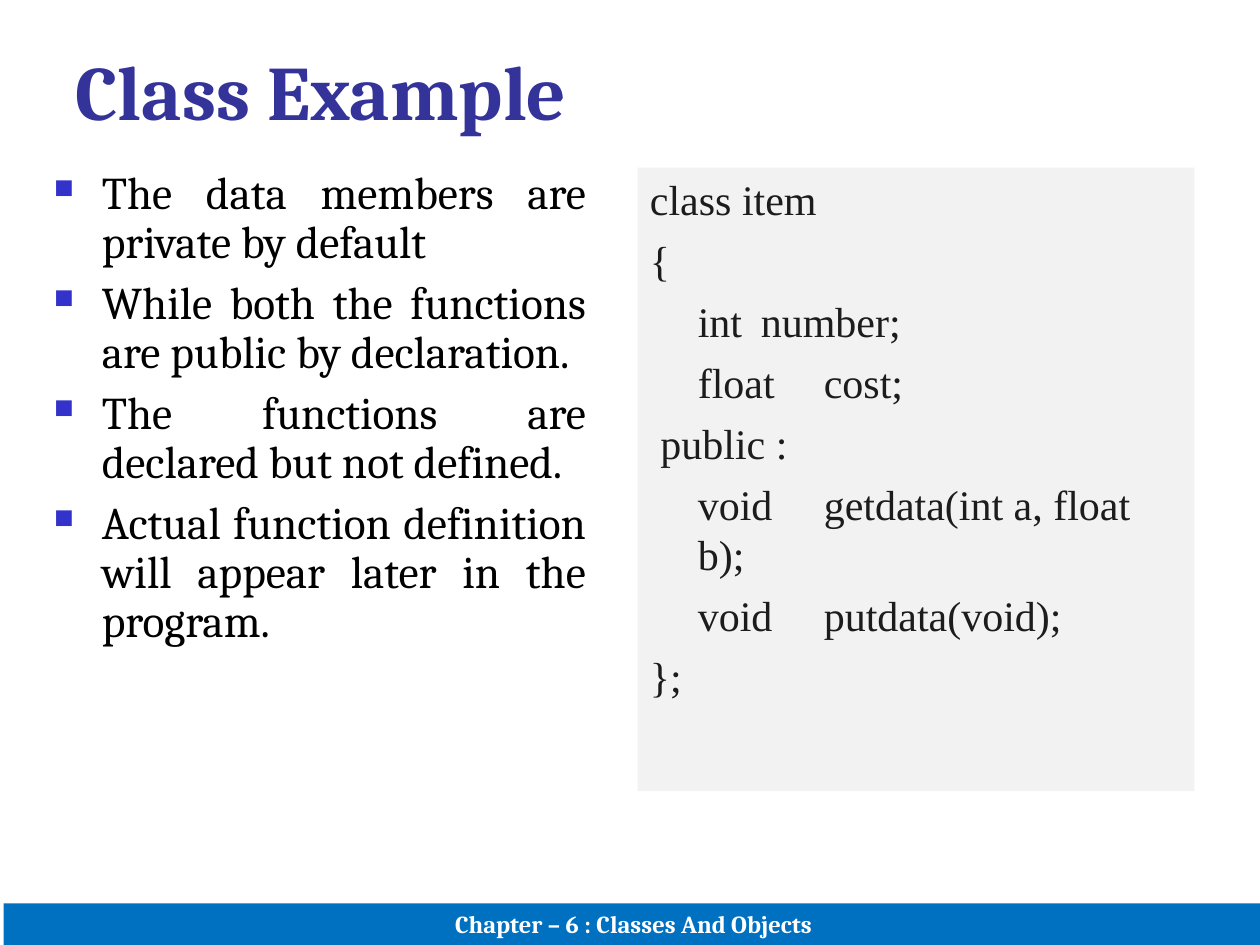
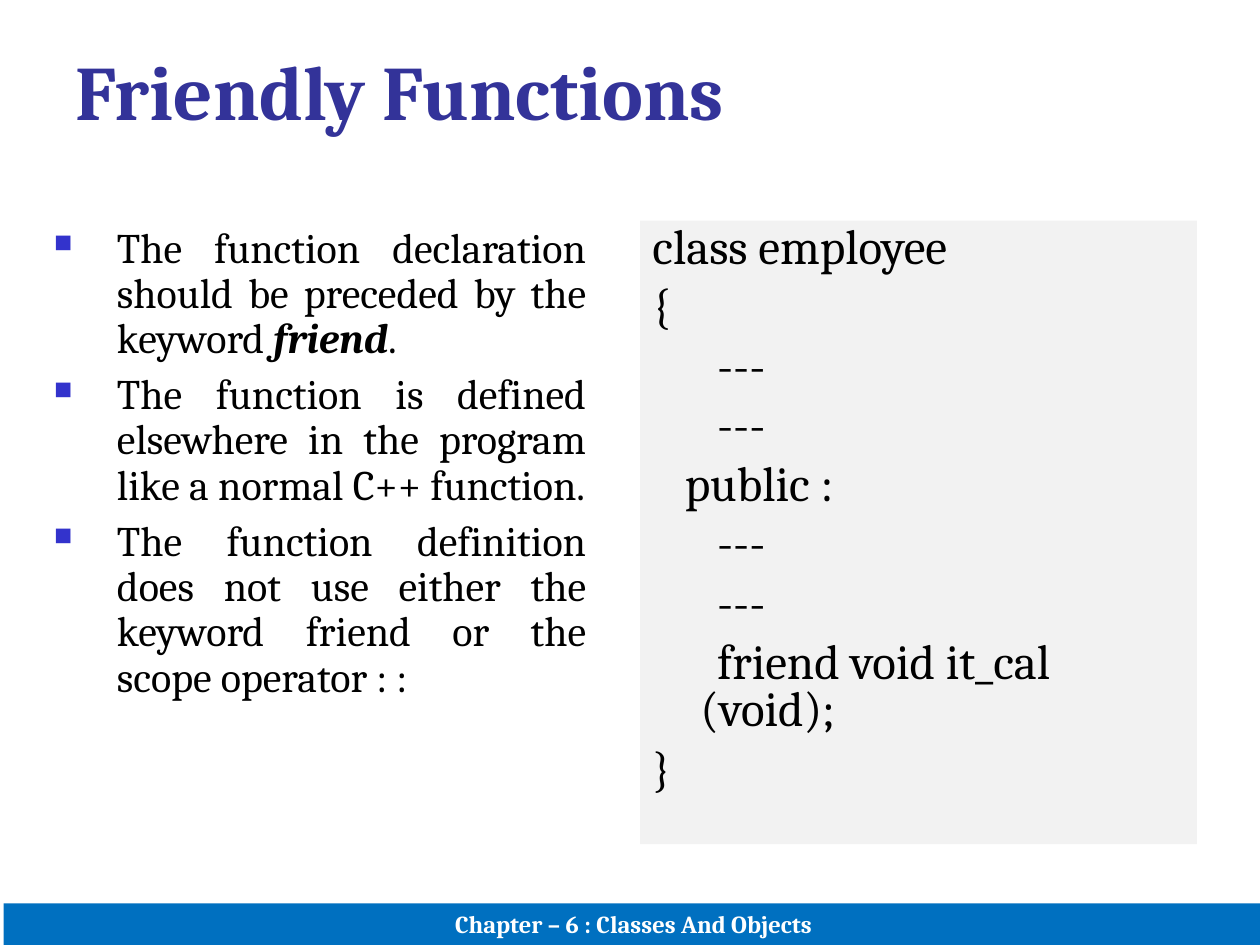
from lxml.etree import SubElement
from pptx import Presentation
from pptx.dml.color import RGBColor
from pptx.enum.shapes import MSO_SHAPE as Preset
from pptx.enum.text import MSO_ANCHOR as Anchor, PP_ALIGN as Align
from pptx.oxml.ns import qn
from pptx.util import Inches, Pt

TITLE = "333399"
BULLET = "3333CC"
BAND = "0070C0"
PANEL = "F2F2F2"
FOOTER = "Chapter – 6 : Classes And Objects"


def color(value):
    return RGBColor.from_string(value)


def indent(properties, hang):
    properties.set("marL", str(Inches(hang)))
    properties.set("indent", str(-Inches(hang)))


def add_bullet(properties):
    hue = SubElement(properties, qn("a:buClr"))
    SubElement(hue, qn("a:srgbClr"), val=BULLET)
    SubElement(properties, qn("a:buSzPct"), val="60000")
    SubElement(properties, qn("a:buChar"), char="■")


def add_tabs(properties):
    stops = SubElement(properties, qn("a:tabLst"))
    for inch in range(8):
        SubElement(stops, qn("a:tab"), pos=str(Inches(inch)), algn="l")


def write(frame, lines, size, font="Cambria", ink="000000", bold=False, align=Align.LEFT,
          anchor=Anchor.TOP, hang=0, spacing=None, before=0, bullet=False, tabs=False):
    """Each line is a string or a list of (text, emphasized) pairs."""
    frame.word_wrap = True
    frame.vertical_anchor = anchor
    for index, line in enumerate(lines):
        paragraph = frame.add_paragraph() if index else frame.paragraphs[0]
        properties = paragraph._p.get_or_add_pPr()
        if hang:
            indent(properties, hang)
        if bullet:
            add_bullet(properties)
        if tabs:
            add_tabs(properties)
        paragraph.alignment = align
        if spacing:
            paragraph.line_spacing = spacing
        if index:
            paragraph.space_before = Pt(before)
        for words, emphasized in [(line, False)] if isinstance(line, str) else line:
            run = paragraph.add_run()
            run.text = words
            run.font.name = font
            run.font.size = Pt(size)
            run.font.color.rgb = color(ink)
            run.font.bold = bold or emphasized
            run.font.italic = emphasized


class Deck:
    def __init__(self):
        self.show = Presentation()
        self.show.slide_width = Inches(10)
        self.show.slide_height = Inches(7.5)
        self.slide = None

    def start(self, title):
        self.slide = self.show.slides.add_slide(self.show.slide_layouts[6])
        self.text((0.5, 0.3, 9, 0.87), [title], size=44, ink=TITLE, bold=True)
        self.panel((0.03, 7.17, 10, 0.33), BAND, [FOOTER], size=14, ink="FFFFFF",
                   bold=True, align=Align.CENTER, anchor=Anchor.BOTTOM)

    def text(self, area, lines, **style):
        box = self.slide.shapes.add_textbox(*map(Inches, area))
        write(box.text_frame, lines, **style)

    def panel(self, area, fill, lines, **style):
        rectangle = self.slide.shapes.add_shape(Preset.RECTANGLE, *map(Inches, area))
        rectangle.shadow.inherit = False
        rectangle.fill.solid()
        rectangle.fill.fore_color.rgb = color(fill)
        rectangle.line.fill.background()
        write(rectangle.text_frame, lines, **style)

    def bullets(self, top, points, **style):
        self.text((0.33, top, 4.42, 4.95), points, align=Align.JUSTIFY,
                  spacing=0.9, bullet=True, **style)

    def code(self, left, top, lines, **style):
        self.panel((left, top, 4.42, 4.95), PANEL, lines, hang=0.38, **style)


def main():
    deck = Deck()

    deck.start("Class Example")
    deck.bullets(1.3, [
        "The data members are private by default",
        "While both the functions are public by declaration.",
        "The functions are declared but not defined.",
        "Actual function definition will appear later in the program.",
    ], size=25.9, hang=0.38, before=7)
    deck.code(5.06, 1.33, [
        "class item",
        "{",
        "\tint\tnumber;",
        "\tfloat\tcost;",
        " public :",
        "\tvoid\tgetdata(int a, float b);",
        "\tvoid\tputdata(void);",
        "};",
    ], size=24, font="Times New Roman", ink="1C1C1C", before=6, tabs=True)

    deck.start("Friendly Functions")
    deck.bullets(1.75, [
        [("The function declaration should be preceded by the keyword ", False),
         ("friend", True), (".", False)],
        "The function is defined elsewhere in the program like a normal C++ function.",
        "The function definition does not use either the keyword friend "
        "or the scope operator : :",
    ], size=24, hang=0.5, before=6)
    deck.code(5.08, 1.75, [
        "class employee",
        "{",
        "      ---",
        "      ---",
        "   public :",
        "      ---",
        "      ---",
        "      friend void it_cal (void);",
        "}",
    ], size=28, spacing=0.8, before=7)

    deck.show.save("out.pptx")


if __name__ == "__main__":
    main()
